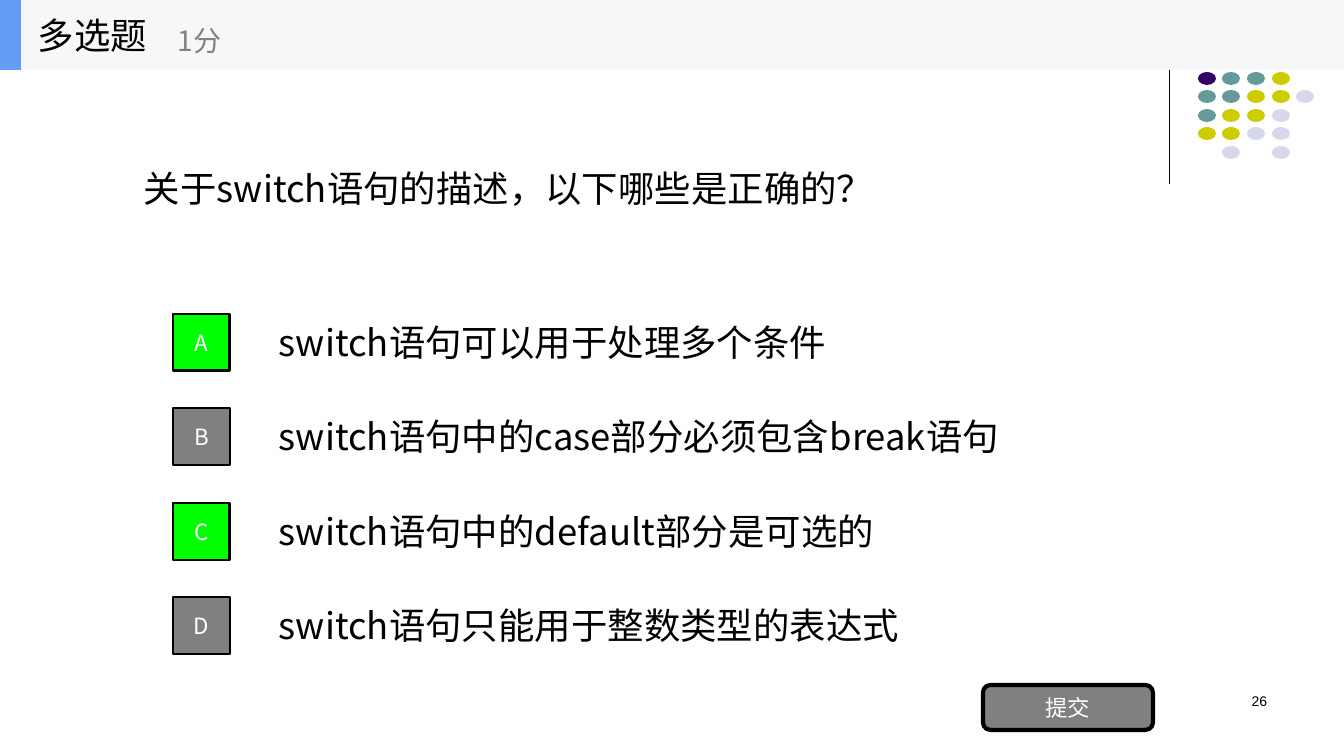
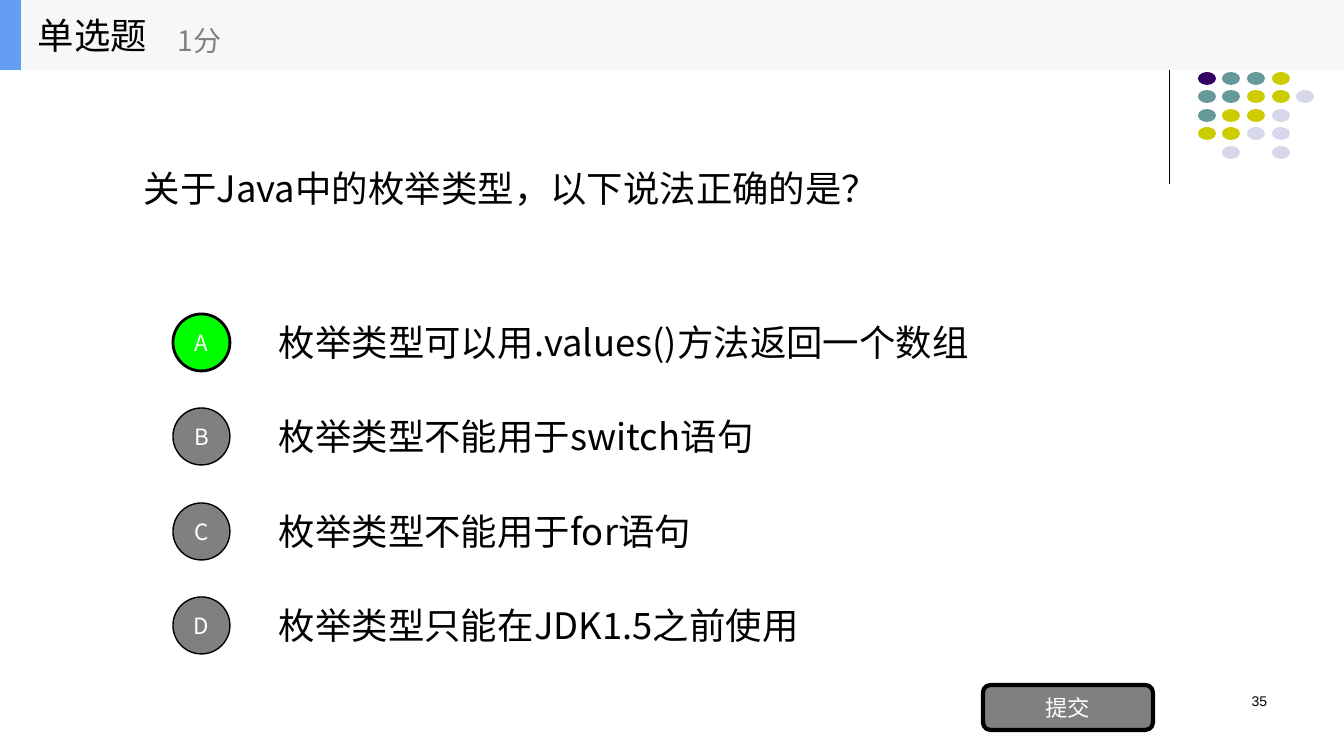
from lxml.etree import SubElement
from pptx import Presentation
from pptx.dml.color import RGBColor
from pptx.enum.shapes import MSO_CONNECTOR as Connector, MSO_SHAPE as Shape
from pptx.enum.text import MSO_ANCHOR as Anchor, PP_ALIGN as Align
from pptx.oxml.ns import qn
from pptx.util import Emu, Pt

BLACK = RGBColor(0x00, 0x00, 0x00)
WHITE = RGBColor(0xFF, 0xFF, 0xFF)
GRAY = RGBColor(0x80, 0x80, 0x80)
GREEN = RGBColor(0x00, 0xFF, 0x00)
BAND = RGBColor(0xF6, 0xF7, 0xF8)
BLUE = RGBColor(0x63, 0x9E, 0xF4)
PURPLE = RGBColor(0x33, 0x00, 0x66)
TEAL = RGBColor(0x66, 0x99, 0x99)
YELLOW = RGBColor(0xCC, 0xCC, 0x00)
LAVENDER = RGBColor(0xD8, 0xD8, 0xEC)

FONT = "Noto Sans CJK SC"
SCALE = 914400 / 100.8
WIDTH, HEIGHT = 1344, 756
DOT_COLORS = {"P": PURPLE, "T": TEAL, "Y": YELLOW, "L": LAVENDER}
DOT_ROWS = ["PTTY", "TTYYL", "TYYL", "YYLL", ".L.L"]

QUESTIONS = [
    ("多选题", "26", Shape.RECTANGLE, "关于switch语句的描述，以下哪些是正确的？", "AC", [
        ("switch语句可以用于处理多个条件", 580),
        ("switch语句中的case部分必须包含break语句", 749),
        ("switch语句中的default部分是可选的", 626),
        ("switch语句只能用于整数类型的表达式", 653),
    ]),
    ("单选题", "35", Shape.OVAL, "关于Java中的枚举类型，以下说法正确的是？", "A", [
        ("枚举类型可以用.values()方法返回一个数组", 718),
        ("枚举类型不能用于switch语句", 504),
        ("枚举类型不能用于for语句", 443),
        ("枚举类型只能在JDK1.5之前使用", 548),
    ]),
]


def px(*lengths):
    return [Emu(round(length * SCALE)) for length in lengths]


def add_item(slide, box, text="", size=26, color=BLACK, kind=None, fill=None,
             line=0, align=Align.LEFT, anchor=Anchor.MIDDLE, font=FONT):
    if kind is None:
        shape = slide.shapes.add_textbox(*px(*box))
    else:
        shape = slide.shapes.add_shape(kind, *px(*box))
        shape.shadow.inherit = False
        shape.fill.solid()
        shape.fill.fore_color.rgb = fill
        if line:
            shape.line.color.rgb = BLACK
            shape.line.width = Pt(line)
        else:
            shape.line.fill.background()
    if text:
        frame = shape.text_frame
        frame.word_wrap = True
        frame.vertical_anchor = anchor
        paragraph = frame.paragraphs[0]
        paragraph.alignment = align
        run = paragraph.add_run()
        run.text = text
        run.font.name = font
        run.font.size = Pt(size)
        run.font.color.rgb = color
        SubElement(run.font._element, qn("a:ea")).set("typeface", font)
    return shape


presentation = Presentation()
presentation.slide_width, presentation.slide_height = px(WIDTH, HEIGHT)

for title, number, marker, question, answers, options in QUESTIONS:
    slide = presentation.slides.add_slide(presentation.slide_layouts[6])

    rule = slide.shapes.add_connector(Connector.STRAIGHT, *px(1170, 17, 1170, 184))
    rule.line.color.rgb = BLACK
    rule.line.width = Pt(0.75)
    SubElement(rule._element.spPr, qn("a:effectLst"))

    for row, codes in enumerate(DOT_ROWS):
        for column, code in enumerate(codes):
            if code in DOT_COLORS:
                box = (1198 + column * 74 // 3, 72 + row * 37 // 2, 18, 13)
                add_item(slide, box, kind=Shape.OVAL, fill=DOT_COLORS[code])

    add_item(slide, (964, 688, 313, 50), number, 10, align=Align.RIGHT,
             anchor=Anchor.TOP, font="Arial")
    add_item(slide, (134, 161, 775, 53), question)

    for index, (letter, (option, width)) in enumerate(zip("ABCD", options)):
        offset = index * 189 // 2
        label = add_item(slide, (269, 319 + offset, width, 53), option)
        label.text_frame.paragraphs[0].line_spacing = 0.83
        correct = letter in answers
        add_item(slide, (173, 314 + offset, 57, 57), letter, 16, WHITE, marker,
                 GREEN if correct else GRAY, 2 if correct else 1, Align.CENTER)

    add_item(slide, (983, 685, 170, 45), "提交", 16, WHITE,
             Shape.ROUNDED_RECTANGLE, GRAY, 3, Align.CENTER)

    add_item(slide, (0, 0, WIDTH, 70), kind=Shape.RECTANGLE, fill=BAND)
    add_item(slide, (0, 0, 21, 70), kind=Shape.RECTANGLE, fill=BLUE)
    add_item(slide, (28, 0, 210, 70), title)
    add_item(slide, (168, 12, 252, 56), "1分", 20, GRAY)

presentation.save("out.pptx")
